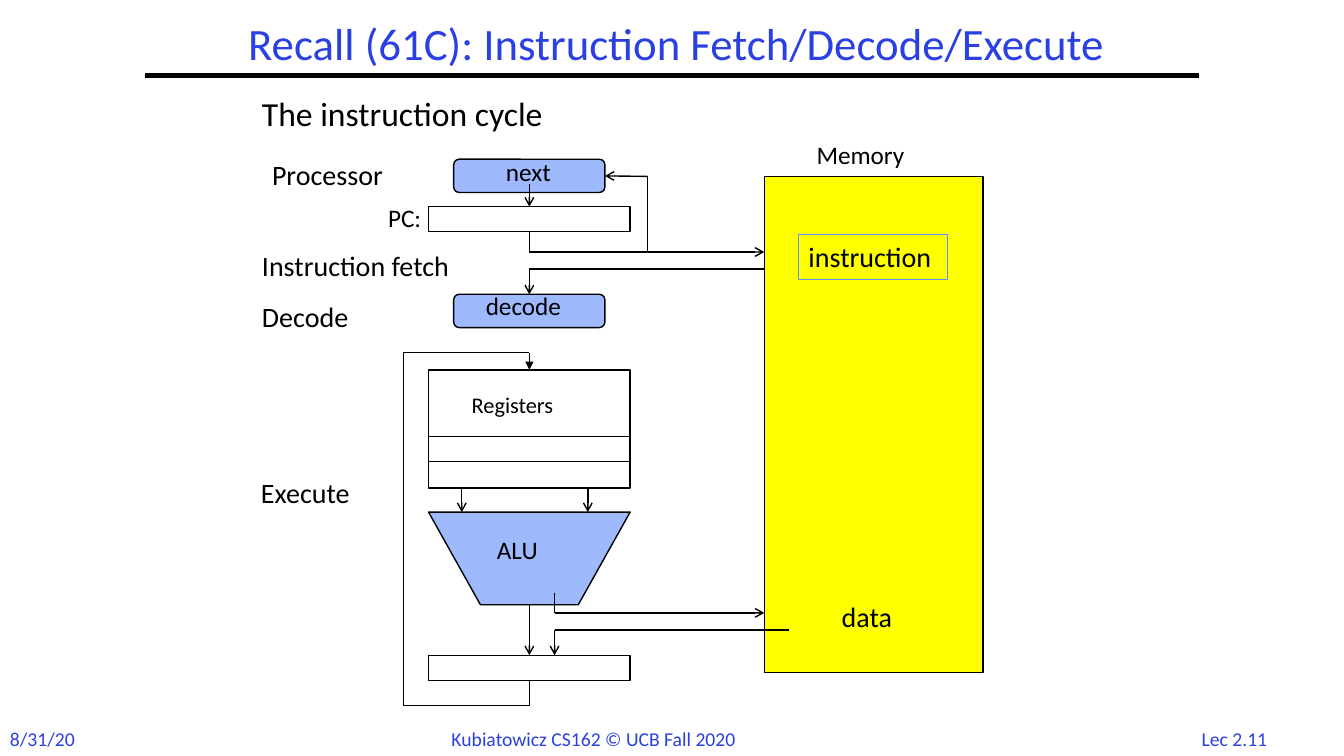
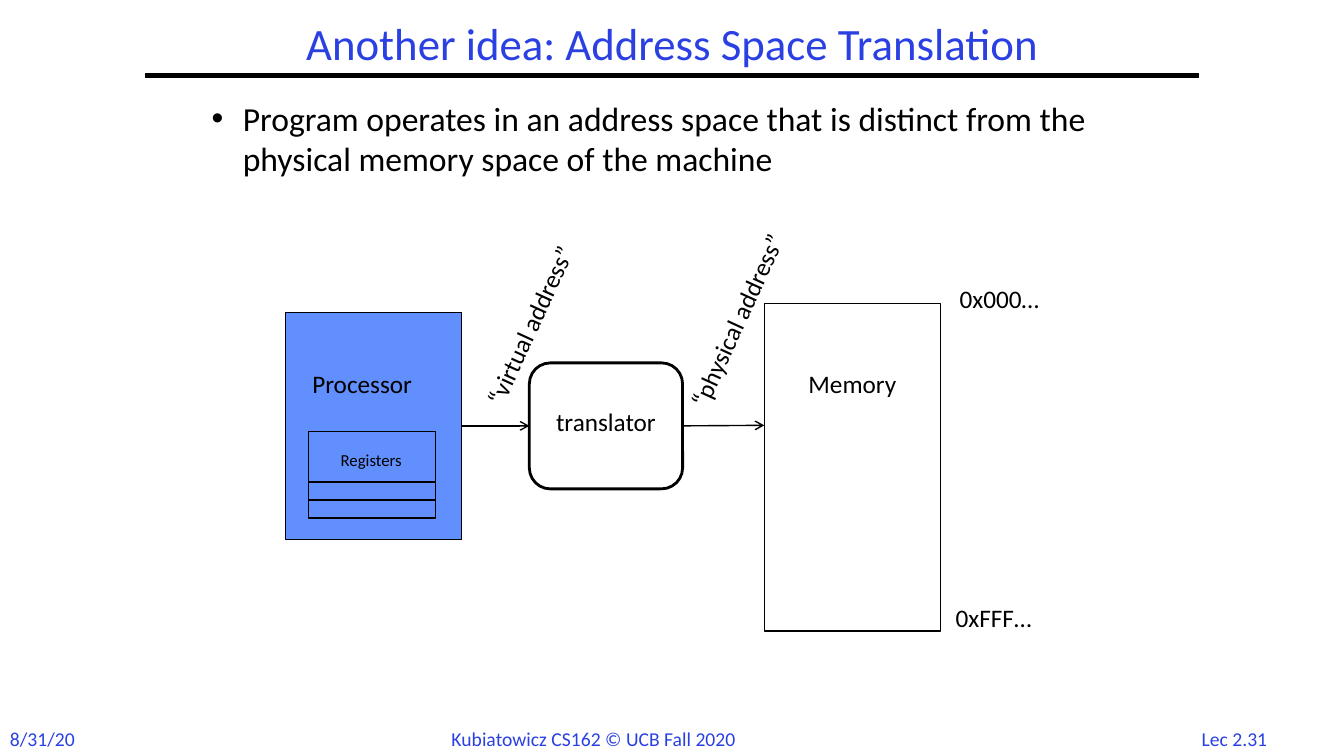
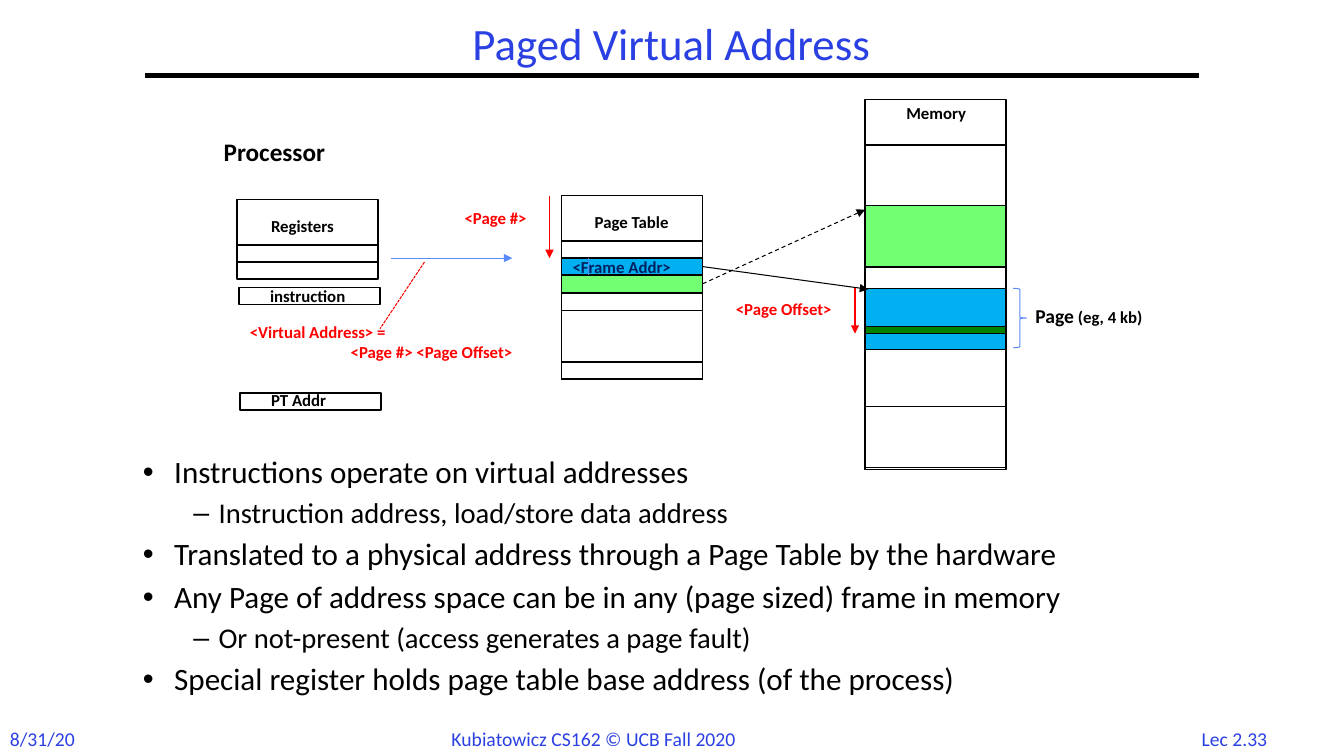
from itertools import pairwise

from lxml import etree
from pptx import Presentation
from pptx.dml.color import RGBColor
from pptx.enum.dml import MSO_LINE
from pptx.enum.shapes import MSO_CONNECTOR, MSO_SHAPE
from pptx.enum.text import MSO_ANCHOR, MSO_AUTO_SIZE, PP_ALIGN
from pptx.oxml.ns import qn
from pptx.util import Inches, Pt

RECT = MSO_SHAPE.RECTANGLE
ROUND = MSO_SHAPE.ROUNDED_RECTANGLE
PROCESS = MSO_SHAPE.FLOWCHART_ALTERNATE_PROCESS
TRAPEZOID = MSO_SHAPE.TRAPEZOID
BRACE = MSO_SHAPE.RIGHT_BRACE
STRAIGHT = MSO_CONNECTOR.STRAIGHT
DASH, SHORT_DASH = MSO_LINE.DASH, MSO_LINE.SQUARE_DOT
CENTER = PP_ALIGN.CENTER
MIDDLE = MSO_ANCHOR.MIDDLE
FIT = MSO_AUTO_SIZE.SHAPE_TO_FIT_TEXT
TOP, LEFT, BOTTOM, RIGHT = range(4)

FONT = "Calibri"
COLORS = {
    "title": "2A40E2", "black": "000000", "white": "FFFFFF",
    "blue": "618FFD", "line blue": "5B8AFB", "navy": "002060",
    "sky": "00B0F0", "mint": "72FF72", "green": "008200",
    "yellow": "FFFF00", "red": "FF0000",
}
# Bullet levels: sign, text indent, sign offset, text size
LEVELS = [("•", 0.31, -0.31, 22.2), ("–", 0.75, -0.25, 20.4)]


def rgb(name):
    return RGBColor.from_string(COLORS[name])


def indent(paragraph, left, first=0):
    properties = paragraph._p.get_or_add_pPr()
    properties.set("marL", str(Inches(left)))
    properties.set("indent", str(Inches(first)))
    return properties


class Lecture:
    """Style of the lecture and the slide being drawn."""

    def __init__(self):
        self.deck = Presentation()
        self.deck.slide_width, self.deck.slide_height = Inches(13.33), Inches(7.5)
        self.shapes = None

    def slide(self, title, number, left=1.44, width=10.44):
        self.shapes = self.deck.slides.add_slide(self.deck.slide_layouts[6]).shapes
        # Footer
        self.label(f"Lec {number}", 11.82, 7.16, 0.97, 14, "title")
        self.label("8/31/20", 0, 7.16, 0.85, 14, "title")
        self.label("Kubiatowicz CS162 © UCB Fall 2020", 4.38, 7.16, 3.43, 14, "title")
        # Title and rule
        self.route((1.44, 0.75), (11.89, 0.75), weight=3)
        frame = self.frame(left, 0.17, width, 0.58)
        frame.vertical_anchor = MIDDLE
        heading = frame.paragraphs[0]
        heading.alignment, heading.line_spacing = CENTER, 0.9
        self.put_text(heading, title, 32, "title")

    def put_text(self, paragraph, text, size, color="black", bold=False):
        paragraph.text = text
        for run in paragraph.runs:
            self.style(run, size, color, bold)

    def style(self, run, size, color="black", bold=False):
        font = run.font
        font.name, font.size, font.bold = FONT, Pt(size), bold
        font.color.rgb = rgb(color)

    def frame(self, x, y, w, h):
        frame = self.shapes.add_textbox(Inches(x), Inches(y), Inches(w), Inches(h)).text_frame
        frame.word_wrap = True
        return frame

    def label(self, text, x, y, w, size=18, color="black", bold=False, rotation=0):
        box = self.shapes.add_textbox(
            Inches(x), Inches(y), Inches(w), Inches(size / 60 + 0.1))
        box.rotation = rotation
        frame = box.text_frame
        frame.word_wrap, frame.auto_size = False, FIT
        self.put_text(frame.paragraphs[0], text, size, color, bold)
        return frame.paragraphs[0]

    def body(self, items, x, y, w, h, spacing=0.9, size=None):
        frame = self.frame(x, y, w, h)
        for i, (level, text) in enumerate(items):
            paragraph = frame.add_paragraph() if i else frame.paragraphs[0]
            paragraph.line_spacing = spacing
            sign, left, first, level_size = LEVELS[level]
            points = size or level_size
            if i:
                paragraph.space_before = Pt(0.3 * points)
            properties = indent(paragraph, left, first)
            etree.SubElement(properties, qn("a:buFont")).set("typeface", "Arial")
            etree.SubElement(properties, qn("a:buChar")).set("char", sign)
            self.put_text(paragraph, text, points)

    def box(self, x, y, w, h, fill=None, kind=RECT, line="black", weight=1, alpha=None):
        box = self.shapes.add_shape(kind, Inches(x), Inches(y), Inches(w), Inches(h))
        box.shadow.inherit = False
        box.line.color.rgb, box.line.width = rgb(line), Pt(weight)
        if fill:
            box.fill.solid()
            box.fill.fore_color.rgb = rgb(fill)
            if alpha:
                tint = box._element.spPr.find(qn("a:solidFill")).find(qn("a:srgbClr"))
                etree.SubElement(tint, qn("a:alpha")).set("val", str(alpha * 1000))
        else:
            box.fill.background()
        return box

    def registers(self, x, y, w, h, row_y, row_h):
        outline = self.box(x, y, w, h)
        self.box(x, row_y, w, row_h)
        return outline

    def route(self, *stops, head=None, color="black", weight=1.0, dash=None):
        """Join stops, each (x, y) or (box, side); the head goes on the last."""
        for start, end in pairwise(stops):
            ends = [(0, 0) if hasattr(stop[0], "shape_id") else stop for stop in (start, end)]
            line = self.shapes.add_connector(
                STRAIGHT, *(Inches(value) for point in ends for value in point))
            if hasattr(start[0], "shape_id"):
                line.begin_connect(*start)
            if hasattr(end[0], "shape_id"):
                line.end_connect(*end)
            line.line.color.rgb, line.line.width = rgb(color), Pt(weight)
            if dash:
                line.line.dash_style = dash
            if head and end is stops[-1]:
                outline = line._element.spPr.find(qn("a:ln"))
                etree.SubElement(outline, qn("a:tailEnd")).set("type", head)
            etree.SubElement(line._element.spPr, qn("a:effectLst"))


def instruction_cycle(lec):
    lec.slide("Recall (61C): Instruction Fetch/Decode/Execute", "2.11", 1.75, 9.92)
    heading = lec.frame(2.5, 0.92, 8.33, 0.5).paragraphs[0]
    heading.line_spacing = 0.9
    lec.put_text(heading, "The instruction cycle", 24)

    # Memory and processor parts
    column, width, middle = 4.25, 2, 5.25
    lec.box(7.58, 1.75, 2.17, 4.92, "yellow")
    counter = lec.box(column, 2.05, width, 0.25)
    next_step, decode = (
        lec.box(4.5, y, 1.5, 0.33, "blue", ROUND, alpha=61) for y in (1.58, 2.92))
    registers = lec.registers(column, 3.67, width, 1.17, 4.33, 0.25)
    alu = lec.box(column, 5.08, width, 0.92, "blue", TRAPEZOID, alpha=61)
    alu.adjustments[0] = 0.56
    alu.rotation = 180
    result = lec.box(column, 6.5, width, 0.25)
    lec.box(7.92, 2.33, 1.48, 0.44, line="blue", weight=0.75)

    # Fetch and decode
    lec.route((middle, 1.83), (counter, TOP), head="arrow")
    lec.route((counter, BOTTOM), (middle, 2.5), (7.58, 2.5), head="arrow")
    lec.route((6.42, 2.5), (6.42, 1.75), (next_step, RIGHT), head="arrow")
    lec.route((7.58, 2.67), (middle, 2.67), (decode, TOP), head="arrow")

    # Execute: operands, load and store, write back
    for x in (4.58, 5.83):
        lec.route((x, 4.83), (x, 5.08), head="arrow")
    lec.route((middle, 6), (result, TOP), head="arrow")
    lec.route((5.5, 5.88), (5.5, 6.08), (7.58, 6.08), head="arrow")
    lec.route((7.83, 6.25), (5.5, 6.25), (5.5, 6.5), head="arrow")
    lec.route((result, BOTTOM), (middle, 7), (4, 7), (4, 3.5), (middle, 3.5),
              (registers, TOP), head="triangle")

    # Names of parts and stages
    for text, x, y, w, size in [
        ("PC:", 3.75, 1.96, 0.62, 18), ("next", 4.92, 1.5, 0.68, 18),
        ("decode", 4.72, 2.83, 1.03, 18), ("Registers", 4.58, 3.83, 1.15, 16),
        ("ALU", 4.83, 5.25, 0.69, 18), ("Memory", 8, 1.33, 1.11, 18),
        ("instruction", 7.92, 2.33, 1.48, 20), ("data", 8.25, 5.9, 0.75, 20),
        ("Processor", 2.6, 1.51, 1.46, 20), ("Instruction fetch", 2.5, 2.42, 2.18, 20),
        ("Decode", 2.5, 2.92, 1.17, 20), ("Execute", 2.49, 4.67, 1.22, 20),
    ]:
        lec.label(text, x, y, w, size)


def address_translation(lec):
    lec.slide("Another idea: Address Space Translation", "2.31", 2.42, 8.5)
    lec.body([(0, "Program operates in an address space that is distinct from "
                  "the physical memory space of the machine")],
             2, 0.92, 9.42, 1.5, spacing=1.0, size=24)

    # Processor, translator, memory
    lec.box(7.58, 3.01, 1.75, 3.25)
    processor = lec.box(2.83, 3.1, 1.75, 2.25, "blue")
    lec.registers(3.06, 4.28, 1.26, 0.86, 4.78, 0.18)
    translator = lec.box(5.25, 3.6, 1.52, 1.25, "white", PROCESS, weight=2)
    frame = translator.text_frame
    frame.vertical_anchor, frame.margin_bottom = MIDDLE, Inches(0.13)
    frame.paragraphs[0].alignment = CENTER
    lec.put_text(frame.paragraphs[0], "translator", 18)
    lec.route((processor, RIGHT), (translator, LEFT), head="arrow")
    lec.route((translator, RIGHT), (7.58, 4.22), head="arrow")

    # Names and addresses
    for text, x, y, w in [
        ("Processor", 3, 3.6, 1.34), ("Memory", 7.92, 3.6, 1.11),
        ("0x000…", 9.42, 2.76, 1.14), ("0xFFF…", 9.38, 5.93, 1.18),
    ]:
        lec.label(text, x, y, w)
    lec.label("Registers", 3.28, 4.41, 0.91, 12)
    lec.label("“virtual address”", 4.27, 2.98, 2.01, rotation=294.7)
    lec.label("“physical address”", 6.22, 2.89, 2.25, rotation=294.7)


def paged_address(lec):
    lec.slide("Paged Virtual Address", "2.33")
    lec.body([
        (0, "Instructions operate on virtual addresses"),
        (1, "Instruction address, load/store data address"),
        (0, "Translated to a physical address through a Page Table by the hardware"),
        (0, "Any Page of address space can be in any (page sized) frame in memory"),
        (1, "Or not-present (access generates a page fault)"),
        (0, "Special register holds page table base address (of the process)"),
    ], 1.32, 4.48, 10.43, 2.73)

    # Processor
    width, row = 1.4, 0.17
    lec.registers(2.35, 1.98, width, 0.79, 2.43, row)
    lec.box(2.37, 2.85, width, row)
    lec.box(2.38, 3.9, width, row)

    # Page table
    lec.box(5.57, 1.94, width, 1.82)
    _, frame_row, page_row, _, _ = [
        lec.box(5.57, y, width, row, fill)
        for y, fill in [(2.39, None), (2.56, "sky"), (2.73, "mint"),
                        (2.91, None), (3.59, None)]]

    # Memory with its pages
    lec.box(8.58, 0.99, width, 3.67)
    for y, fill in [(1.44, None), (2.04, "mint"), (2.86, "sky"), (4.03, None)]:
        lec.box(8.58, y, width, 0.61, fill)
    lec.box(8.58, 3.24, width, 0.07, "green")
    lec.box(10.05, 2.86, 0.13, 0.59, kind=BRACE, line="line blue", weight=0.75)

    # Lookups
    for start, end, color, head, dash in [
        ((3.88, 2.56), (5.08, 2.56), "line blue", "triangle", None),
        ((5.84, 2.56), (5.84, 2.73), "line blue", None, None),
        ((4.21, 2.6), (3.77, 3.26), "red", None, SHORT_DASH),
        ((5.45, 1.94), (5.45, 2.56), "red", "triangle", None),
        ((8.48, 2.86), (8.48, 3.31), "red", "triangle", None),
        ((frame_row, RIGHT), (8.61, 2.87), "black", "triangle", None),
        ((page_row, RIGHT), (8.58, 2.08), "black", "triangle", DASH),
    ]:
        lec.route(start, end, head=head, color=color, weight=0.75, dash=dash)

    # Names
    lec.label("Processor", 2.12, 1.3, 1.44, bold=True)
    for text, x, y, w, color in [
        ("Registers", 2.59, 2.09, 0.97, "black"),
        ("instruction", 2.58, 2.79, 1.07, "black"),
        ("PT Addr", 2.59, 3.82, 0.85, "black"),
        ("Page Table", 5.8, 2.05, 1.08, "black"),
        ("Memory", 8.89, 0.97, 0.85, "black"),
        ("<Page #>", 4.51, 2.01, 0.99, "red"),
        ("<Frame Addr>", 5.58, 2.5, 1.38, "navy"),
        ("<Page Offset>", 7.2, 2.91, 1.38, "red"),
    ]:
        lec.label(text, x, y, w, 12, color, True)
    page_size = lec.label("Page", 10.17, 2.97, 1.46, 14, bold=True).add_run()
    page_size.text = " (eg, 4 kb)"
    lec.style(page_size, 12, bold=True)
    address = lec.frame(2.38, 3.14, 3.28, 0.5)
    lec.put_text(address.paragraphs[0], "<Virtual Address> =", 12, "red", True)
    address_parts = address.add_paragraph()
    indent(address_parts, 1)
    lec.put_text(address_parts, "<Page #> <Page Offset>", 12, "red", True)


def main():
    lec = Lecture()
    instruction_cycle(lec)
    address_translation(lec)
    paged_address(lec)
    lec.deck.save("out.pptx")


if __name__ == "__main__":
    main()
